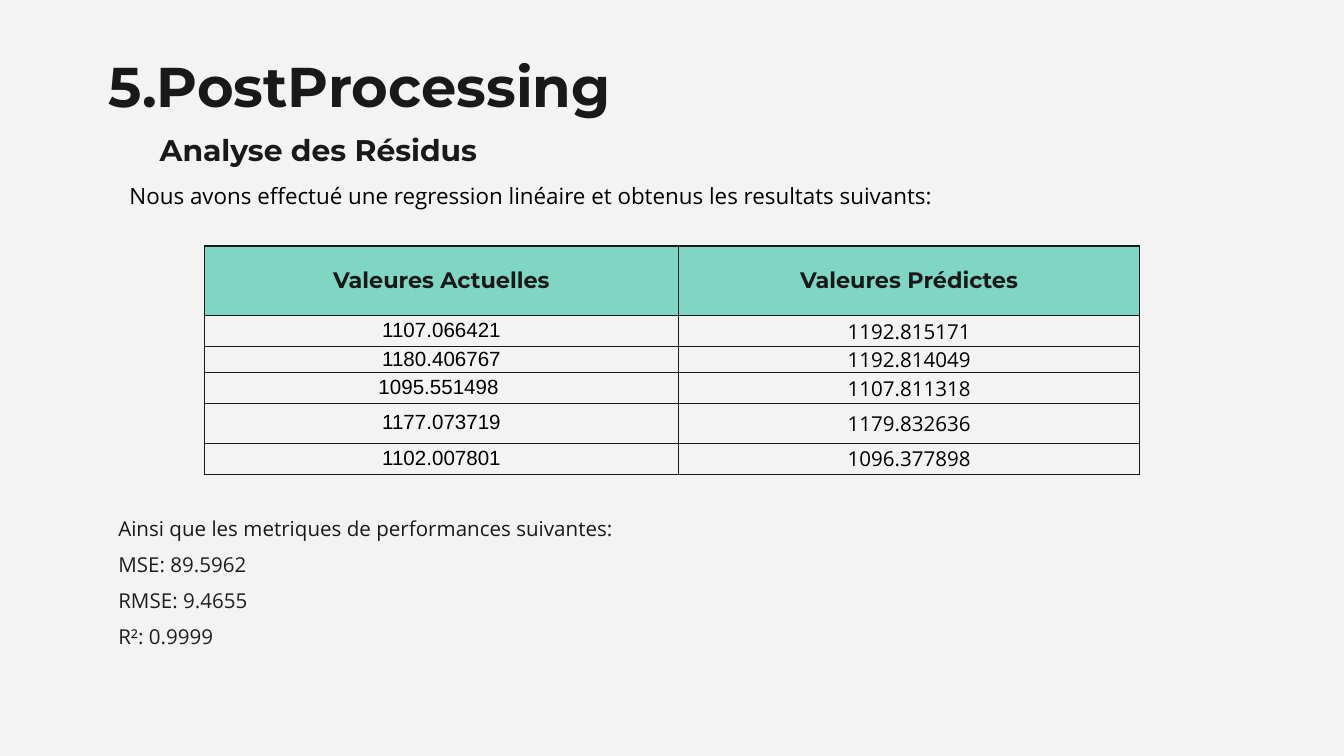
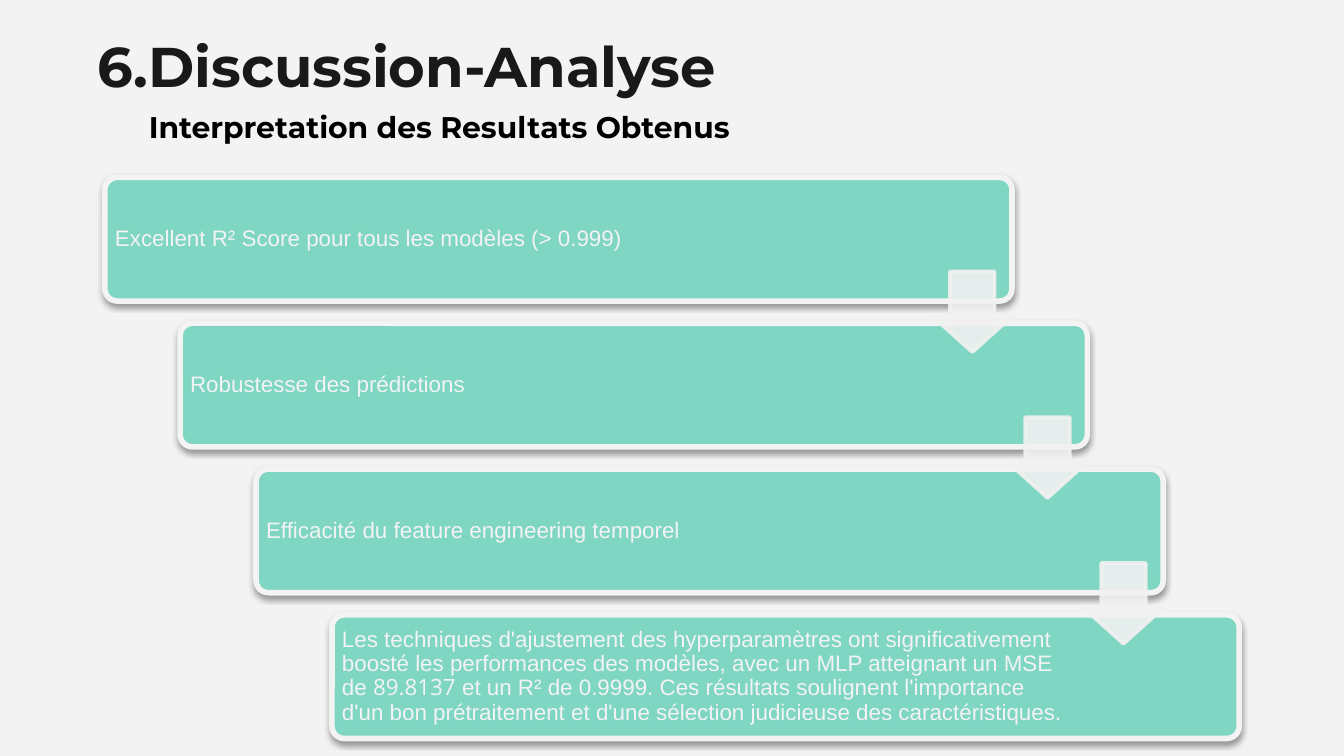
from dataclasses import dataclass
from lxml import etree
from pptx import Presentation
from pptx.dml.color import RGBColor
from pptx.enum.shapes import MSO_SHAPE
from pptx.enum.text import MSO_ANCHOR, MSO_AUTO_SIZE, PP_ALIGN
from pptx.oxml import parse_xml
from pptx.oxml.ns import nsdecls, qn
from pptx.util import Emu, Pt

PX = 4572  # 200 px to the inch


# Each text style is (font, size, colour, bold)
@dataclass(frozen=True)
class Theme:
    back = "F3F3F3"
    mint = "7FD6C3"
    ink = "191919"
    arrow = "F1F1F1"
    title = ("Montserrat", 30, "191919", True)
    sub = ("Montserrat", 16, "191919", True)
    sub_dark = ("Montserrat", 16, "000000", True)
    intro = ("Open Sans", 12, "000000", False)
    lead = ("Open Sans", 11, "191919", False)
    metric = ("Open Sans", 11, "1F1F1F", False)
    head = ("Montserrat", 12, "191919", True)
    actual = ("Arial", 11, "000000", False)
    guess = ("Open Sans", 11, "000000", False)
    card = ("Arial", 12, "F3F3F3", False)
    figure = ("Open Sans", 12, "F3F3F3", False)


T = Theme()


def px(*sizes):
    return [Emu(size * PX) for size in sizes]


def write(box, paras, pad=(20, 20), anchor=MSO_ANCHOR.TOP,
          align=PP_ALIGN.LEFT, line=1.0, after=0):
    """Fill a text frame or table cell with paragraphs of (text, style) runs."""
    box.margin_left, box.margin_top = px(*pad)
    box.margin_right, box.margin_bottom = px(*pad)
    box.vertical_anchor = anchor
    frame = getattr(box, "text_frame", box)
    frame.word_wrap = True
    frame.auto_size = MSO_AUTO_SIZE.NONE
    for i, runs in enumerate(paras):
        para = frame.add_paragraph() if i else frame.paragraphs[0]
        para.alignment = align
        para.line_spacing = line
        para.space_before, para.space_after = Pt(0), Pt(after)
        for text, (name, size, color, bold) in runs:
            run = para.add_run()
            run.text = text
            run.font.name, run.font.size, run.font.bold = name, Pt(size), bold
            run.font.color.rgb = RGBColor.from_string(color)


# Deck with one shared background
prs = Presentation()
prs.slide_width, prs.slide_height = px(2000, 1125)
ground = prs.slide_master.background.fill
ground.solid()
ground.fore_color.rgb = RGBColor.from_string(T.back)

# Titles and subtitles: layout, title, left, top, subtitle, place, style, pad
heads = [
    (1, "5.PostProcessing", 142, 57,
     "Analyse des Résidus", (218, 176, 538, 68), T.sub, (20, 20)),
    (5, "6.Discussion-Analyse", 125, 27,
     "Interpretation des Resultats Obtenus", (202, 152, 1000, 74), T.sub_dark, (20, 10)),
]
slides = []
for layout, title, left, top, sub, place, style, pad in heads:
    slide = prs.slides.add_slide(prs.slide_layouts[layout])
    name = slide.shapes.title
    name.left, name.top, name.width, name.height = px(left, top, 1686, 126)
    write(name.text_frame, [[(title, T.title)]])
    note = slide.shapes.add_textbox(*px(*place))
    write(note.text_frame, [[(sub, style)]], pad)
    slides.append(slide)
post, talk = slides

# Slide 1: introduction
intro = post.shapes.add_textbox(*px(173, 262, 1670, 60))
write(intro.text_frame, [[(
    "Nous avons effectué une regression linéaire et obtenus les resultats suivants:",
    T.intro)]], (20, 10), after=6)

# Slide 1: table of actual and predicted values
rows = [
    ("Valeures Actuelles", "Valeures Prédictes"),
    ("1107.066421", "1192.815171"),
    ("1180.406767", "1192.814049"),
    ("1095.551498 ", "1107.811318"),
    ("1177.073719", "1179.832636"),
    ("1102.007801", "1096.377898"),
]
table = post.shapes.add_table(len(rows), 2, *px(304, 366, 1392, 340)).table
table.first_row = table.horz_banding = False
for col, width in zip(table.columns, px(706, 686)):
    col.width = width
for row, height in zip(table.rows, px(104, 46, 39, 46, 59, 46)):
    row.height = height
for r, texts in enumerate(rows):
    for c, text in enumerate(texts):
        cell = table.cell(r, c)
        style = (T.actual, T.guess)[c] if r else T.head
        write(cell, [[(text, style)]], (0, 0) if r else (20, 14),
              MSO_ANCHOR.MIDDLE, PP_ALIGN.CENTER, 0.93 if r else 1.0)
        props = cell._tc.get_or_add_tcPr()
        for side in "LRTB":
            props.append(parse_xml(
                f'<a:ln{side} {nsdecls("a")} w="9525"><a:solidFill>'
                f'<a:srgbClr val="{T.ink}"/></a:solidFill></a:ln{side}>'))
        if r:
            cell.fill.background()
        else:
            cell.fill.solid()
            cell.fill.fore_color.rgb = RGBColor.from_string(T.mint)

# Slide 1: performance metrics
body = post.placeholders[1]
body.left, body.top, body.width, body.height = px(156, 748, 802, 268)
write(body.text_frame, [
    [("Ainsi que les metriques de performances suivantes:", T.lead)],
    [("MSE: 89.5962", T.metric)],
    [("RMSE: 9.4655", T.metric)],
    [("R²: 0.9999", T.metric)],
], after=6)
for para in body.text_frame.paragraphs:
    props = para._p.get_or_add_pPr()
    props.set("marL", "0")
    props.set("indent", "0")
    etree.SubElement(props, qn("a:buNone"))

# Slide 2: staircase of cards, each with its text width
cards = [
    (1138, [("Excellent R² Score pour tous les modèles (> 0.999)", T.card)]),
    (1108, [("Robustesse des prédictions", T.card)]),
    (1108, [("Efficacité du feature engineering temporel", T.card)]),
    (1108, [("Les techniques d'ajustement des hyperparamètres ont "
             "significativement boosté les performances des modèles, avec un "
             "MLP atteignant un MSE de ", T.card),
            ("89.8137", T.figure),
            (" et un R² de 0.9999. Ces résultats soulignent l'importance d'un "
             "bon prétraitement et d'une sélection judicieuse des "
             "caractéristiques.", T.card)]),
]
spots = [(156 + 338 * i // 3, 264 + 217 * i) for i in range(len(cards))]
stair = talk.shapes.add_group_shape().shapes
for (left, top), (width, runs) in zip(spots, cards):
    card = stair.add_shape(MSO_SHAPE.ROUNDED_RECTANGLE, *px(left, top, 1350, 184))
    card.adjustments[0] = 0.1
    card.fill.solid()
    card.fill.fore_color.rgb = RGBColor.from_string(T.mint)
    card.line.color.rgb = RGBColor.from_string(T.back)
    card.line.width = Pt(3)
    card._element.spPr.append(parse_xml(
        f'<a:effectLst {nsdecls("a")}><a:outerShdw blurRad="40000" dist="20000" '
        'dir="5400000" rotWithShape="0"><a:srgbClr val="000000">'
        '<a:alpha val="38000"/></a:srgbClr></a:outerShdw></a:effectLst>'))
    label = stair.add_textbox(*px(left + 5, top + 6, width, 172))
    write(label.text_frame, [runs], (10, 10), MSO_ANCHOR.MIDDLE, line=0.9)

# Slide 2: translucent arrows from card to card
for left, top in spots[:-1]:
    arrow = stair.add_shape(MSO_SHAPE.DOWN_ARROW, *px(left + 1231, top + 140, 120, 120))
    arrow.adjustments[0], arrow.adjustments[1] = 0.55, 0.45
    arrow.shadow.inherit = False
    arrow.fill.solid()
    arrow.fill.fore_color.rgb = RGBColor.from_string(T.arrow)
    arrow.line.color.rgb = RGBColor.from_string(T.arrow)
    arrow.line.width = Pt(2)
    for color in arrow._element.spPr.iter(qn("a:srgbClr")):
        etree.SubElement(color, qn("a:alpha")).set("val", "90000")

prs.save("out.pptx")
